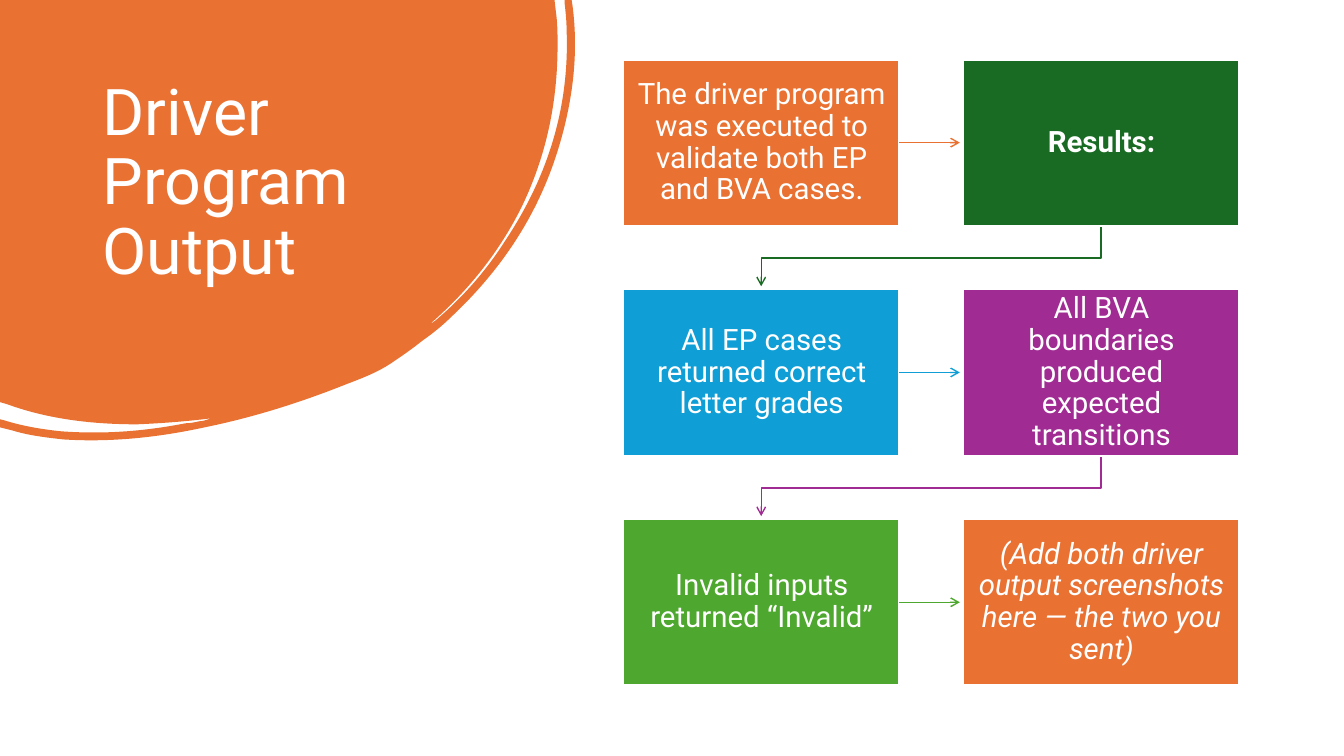
from dataclasses import dataclass

from lxml import etree
from pptx import Presentation
from pptx import util as u
from pptx.dml.color import RGBColor
from pptx.enum import shapes, text
from pptx.oxml import ns

PX = 9144  # EMU in one px, 100 px to the inch


@dataclass(frozen=True)
class Theme:
    font: str = "Roboto"
    title_size: int = 46
    step_size: int = 21
    white: str = "FFFFFF"
    orange: str = "E97132"
    dark_green: str = "196B24"
    blue: str = "0F9ED5"
    purple: str = "A02B93"
    green: str = "4EA72E"


THEME = Theme()

STEPS = [
    ("The driver program was executed to validate both EP and BVA cases.", THEME.orange, {}),
    ("Results:", THEME.dark_green, {"bold": True}),
    ("All EP cases returned correct letter grades", THEME.blue, {}),
    ("All BVA boundaries produced expected transitions", THEME.purple, {}),
    ("Invalid inputs returned “Invalid”", THEME.green, {}),
    ("(Add both driver output screenshots here — the two you sent)", THEME.orange, {"italic": True}),
]

# Outline of the brush blob: pairs are corners, sixes are Bézier curves
BLOB = [
    (0, 0), (550, 0), (552, 17),
    (553, 26, 553, 36, 553, 45), (553, 101, 542, 154, 518, 204),
    (496, 249, 465, 288, 427, 321), (429, 321, 430, 319, 432, 318),
    (459, 295, 482, 269, 501, 239), (543, 176, 565, 107, 562, 30),
    (562, 21, 561, 12, 560, 3), (560, 0), (567, 0), (568, 7),
    (574, 54, 568, 102, 553, 150), (533, 214, 497, 268, 448, 314),
    (439, 323, 429, 331, 419, 338), (409, 346, 399, 353, 387, 361),
    (375, 369, 360, 375, 344, 381), (299, 399, 252, 414, 203, 424),
    (157, 434, 110, 439, 63, 436), (45, 434, 28, 432, 12, 427),
    (0, 424), (0, 416), (4, 417),
    (23, 423, 42, 426, 61, 428), (103, 431, 143, 428, 184, 420),
    (189, 420, 193, 419, 198, 418), (202, 418, 206, 416, 210, 415),
    (186, 418, 161, 420, 136, 421), (92, 421, 48, 416, 7, 401), (0, 399),
]


def px(*lengths):
    return [u.Emu(round(length * PX)) for length in lengths]


def rgb(colour):
    return RGBColor.from_string(colour)


def add_outline(slide, points, close):
    start, *rest = points
    builder = slide.shapes.build_freeform(*start, scale=PX)
    builder.add_line_segments(rest, close=close)
    outline = builder.convert_to_shape()
    outline.shadow.inherit = False
    return outline


def bend(outline, segments):
    """Turn the straight sides of an outline that starts at 0, 0 into its curves."""
    sides = list(outline._element.iter(ns.qn("a:lnTo")))
    for side, segment in zip(sides, segments[1:]):
        if len(segment) == 6:
            curve = etree.Element(ns.qn("a:cubicBezTo"))
            for x, y in zip(segment[::2], segment[1::2]):
                etree.SubElement(curve, ns.qn("a:pt"), x=str(x), y=str(y))
            side.getparent().replace(side, curve)


def write(frame, words, margins, paragraph_format, font_format):
    frame.word_wrap = True
    frame.vertical_anchor = text.MSO_ANCHOR.MIDDLE
    for side, margin in zip(("left", "top", "right", "bottom"), px(*margins)):
        setattr(frame, f"margin_{side}", margin)
    paragraph = frame.paragraphs[0]
    for name, value in {"line_spacing": 0.9, **paragraph_format}.items():
        setattr(paragraph, name, value)
    run = paragraph.add_run()
    run.text = words
    run.font.color.rgb = rgb(THEME.white)
    for name, value in {"name": THEME.font, **font_format}.items():
        setattr(run.font, name, value)


def style_arrow(arrow, colour):
    arrow.line.color.rgb = rgb(colour)
    arrow.line.width = u.Pt(1)
    etree.SubElement(arrow.line._get_or_add_ln(), ns.qn("a:tailEnd"), type="arrow")


def add_title_region(slide, left, top, width, height):
    # Blob bleeding off the top left corner
    blob = add_outline(slide, [segment[-2:] for segment in BLOB], close=True)
    bend(blob, BLOB)
    blob.left, blob.top = px(left, top)
    blob.fill.solid()
    blob.fill.fore_color.rgb = rgb(THEME.orange)
    blob.line.fill.background()

    # Title over the blob
    title = slide.shapes.add_textbox(*px(left + 92, top + 74, width - 219, height - 215))
    write(title.text_frame, "Driver Program Output", (10, 5, 10, 10),
          {"alignment": text.PP_ALIGN.LEFT}, {"size": u.Pt(THEME.title_size)})


def add_step(slide, words, colour, emphasis, box):
    step = slide.shapes.add_shape(shapes.MSO_SHAPE.RECTANGLE, *px(*box))
    step.shadow.inherit = False
    step.fill.solid()
    step.fill.fore_color.rgb = rgb(colour)
    step.line.color.rgb = rgb(THEME.white)
    step.line.width = u.Pt(1.5)
    write(step.text_frame, words, (14, 14, 13, 14), {"alignment": text.PP_ALIGN.CENTER},
          {"size": u.Pt(THEME.step_size), **emphasis})
    return step


def add_flow_region(slide, left, top, width, height):
    columns, rows = 2, 3
    step_width, step_height = 274, 165
    column_pitch = (width - step_width) / (columns - 1)
    row_pitch = (height - step_height) / (rows - 1)
    clearance = 3  # between an arrowhead and the next step

    for index, (words, colour, emphasis) in enumerate(STEPS):
        row, column = divmod(index, columns)
        x, y = left + column * column_pitch, top + row * row_pitch
        middle_x, middle_y = x + step_width / 2, y + step_height / 2
        bottom, next_top = y + step_height, y + row_pitch - clearance

        # Elbow arrow down to the first step of the next row
        if column == columns - 1 and row < rows - 1:
            first_x = left + step_width / 2
            turn_y = bottom + 32
            elbow = add_outline(slide, [(middle_x, bottom), (middle_x, turn_y),
                                        (first_x, turn_y), (first_x, next_top)], close=False)
            elbow.fill.background()
            style_arrow(elbow, colour)

        step = add_step(slide, words, colour, emphasis, (x, y, step_width, step_height))

        # Straight arrow to the next step in the row
        if column < columns - 1:
            arrow = slide.shapes.add_connector(
                shapes.MSO_CONNECTOR.STRAIGHT,
                *px(x + step_width, middle_y, x + column_pitch - clearance, middle_y))
            arrow.begin_connect(step, 3)
            style_arrow(arrow, colour)
            etree.SubElement(arrow._element.spPr, ns.qn("a:effectLst"))


def main():
    deck = Presentation()
    deck.slide_width, deck.slide_height = px(1333, 750)
    slide = deck.slides.add_slide(deck.slide_layouts[6])
    add_title_region(slide, 0, 0, 571, 437)
    add_flow_region(slide, 618, 59, 611, 621)
    deck.save("out.pptx")


if __name__ == "__main__":
    main()
